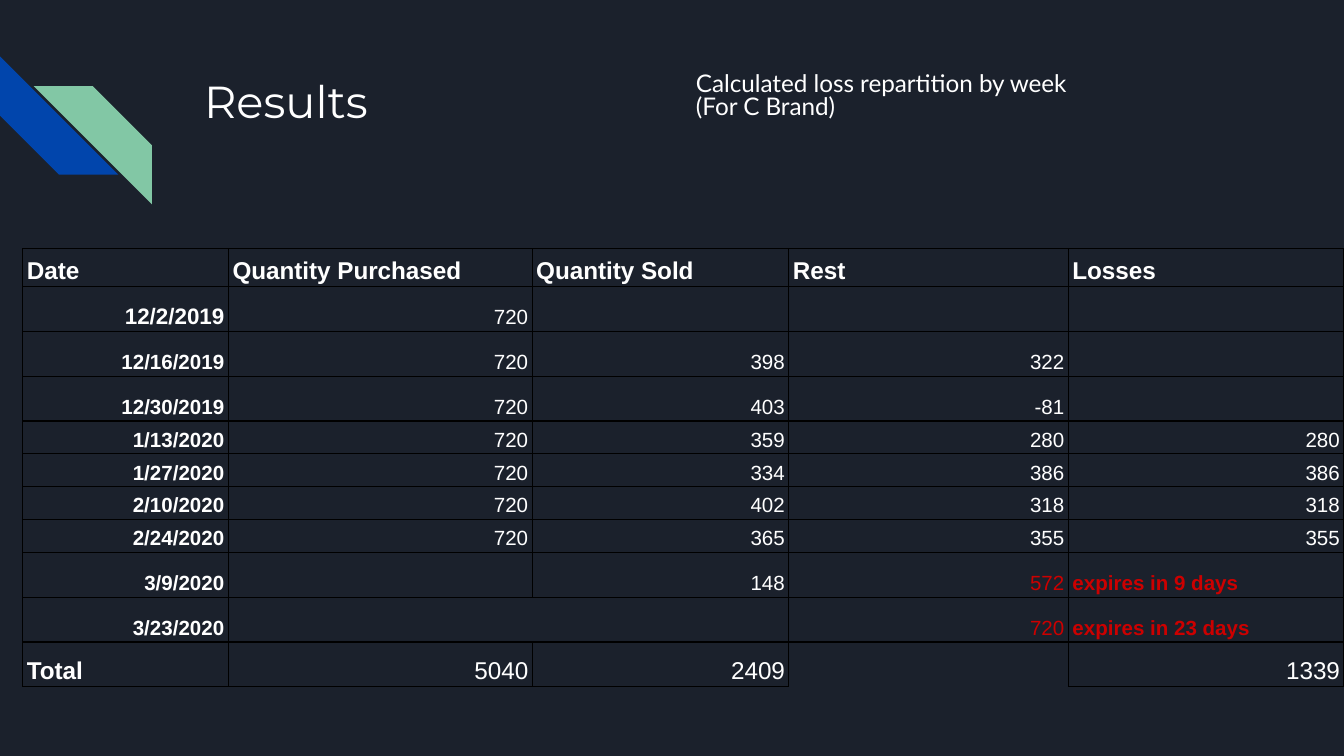
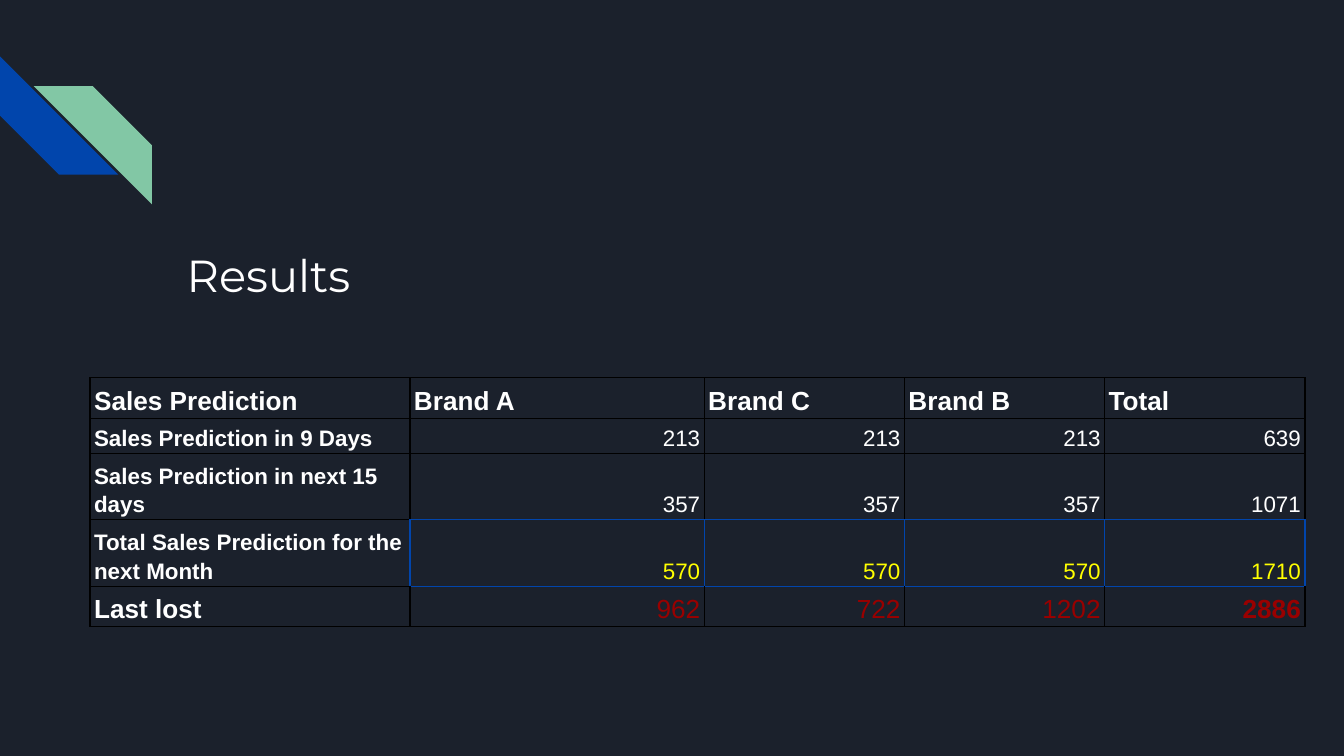
from lxml.etree import SubElement
from pptx import Presentation
from pptx.dml.color import RGBColor
from pptx.enum.shapes import MSO_SHAPE as Preset
from pptx.enum.text import MSO_ANCHOR as Anchor, PP_ALIGN as Align
from pptx.oxml.ns import qn
from pptx.util import Inches, Pt

NIGHT, BLUE, GREEN = "1B212C", "0145AC", "82C7A5"
WHITE, BLACK, YELLOW = "FFFFFF", "000000", "FFFF00"
RED, DARK_RED = "CC0000", "990000"
BORDER_WIDTH = Pt(0.75)
CELL_INSET = Inches(0.1) // 6
GRID_SIDE = Inches(3.28)
NEIGHBOURS = {"L": (0, -1, "R"), "R": (0, 1, "L"), "T": (-1, 0, "B"), "B": (1, 0, "T")}

LOSSES = [
    ["Date", "Quantity Purchased", "Quantity Sold", "Rest", "Losses"],
    ["12/2/2019", "720", "", "", ""],
    ["12/16/2019", "720", "398", "322", ""],
    ["12/30/2019", "720", "403", "-81", ""],
    ["1/13/2020", "720", "359", "280", "280"],
    ["1/27/2020", "720", "334", "386", "386"],
    ["2/10/2020", "720", "402", "318", "318"],
    ["2/24/2020", "720", "365", "355", "355"],
    ["3/9/2020", "", "148", "572", "expires in 9 days"],
    ["3/23/2020", "", "", "720", "expires in 23 days"],
    ["Total", "5040", "2409", "", "1339"],
]
PREDICTIONS = [
    ["Sales Prediction", "Brand A", "Brand C", "Brand B", "Total"],
    ["Sales Prediction in 9 Days", "213", "213", "213", "639"],
    ["Sales Prediction in next 15 days", "357", "357", "357", "1071"],
    ["Total Sales Prediction for the next Month", "570", "570", "570", "1710"],
    ["Last lost", "962", "722", "1202", "2886"],
]


def rgb(code):
    """Turn a hex string into a colour."""
    return RGBColor.from_string(code)


def add_run(paragraph, text, font, size, color=WHITE, bold=False):
    """Append one formatted run to a paragraph."""
    run = paragraph.add_run()
    run.text = text
    run.font.name, run.font.size, run.font.bold = font, Pt(size), bold
    run.font.color.rgb = rgb(color)


def add_text(slide, box, lines, font, size, spacing=1.0):
    """Add a wrapped text box with one paragraph per line."""
    frame = slide.shapes.add_textbox(*map(Inches, box)).text_frame
    frame.word_wrap = True
    frame.margin_left = frame.margin_right = Inches(0.1)
    frame.margin_top = frame.margin_bottom = Inches(0.1)
    for index, line in enumerate(lines):
        paragraph = frame.add_paragraph() if index else frame.paragraphs[0]
        paragraph.line_spacing = spacing
        add_run(paragraph, line, font, size)


def add_stripe(group, left, top, color):
    """Add one diagonal stripe of the corner ornament."""
    side = Inches(0.88)
    stripe = group.shapes.add_shape(Preset.DIAGONAL_STRIPE, Inches(left), Inches(top), side, side)
    stripe.adjustments[0] = 0.5
    stripe.shadow.inherit = False
    stripe.fill.solid()
    stripe.fill.fore_color.rgb = rgb(color)
    stripe.line.fill.background()
    return stripe


def add_results_slide(deck, title_box):
    """Add a dark slide with the corner ornament and its title."""
    slide = deck.slides.add_slide(deck.slide_layouts[6])
    slide.background.fill.solid()
    slide.background.fill.fore_color.rgb = rgb(NIGHT)
    ornament = slide.shapes.add_group_shape()
    add_stripe(ornament, 0, 0.42, BLUE).rotation = 270
    green = add_stripe(ornament, 0.25, 0.64, GREEN)
    green._element.spPr.find(qn("a:xfrm")).set("flipH", "1")
    add_text(slide, title_box, ["Results"], "Montserrat", 24)
    return slide


def paint_edges(edges, row, col, sides, color):
    """Set sides of a cell, and the same edges of its neighbours."""
    for side in sides:
        down, across, opposite = NEIGHBOURS[side]
        edges[row, col, side] = color
        edges[row + down, col + across, opposite] = color


def draw_border(cell, side, color):
    """Write one border of a cell, or an invisible one without a colour."""
    line = SubElement(cell._tc.get_or_add_tcPr(), qn(f"a:ln{side}"), w=str(BORDER_WIDTH))
    if color:
        fill = SubElement(line, qn("a:solidFill"))
        SubElement(fill, qn("a:srgbClr"), val=color)
    else:
        SubElement(line, qn("a:noFill"))


def fill_cell(cell, text, size, color, bold):
    """Write a cell's text, with numbers and dates set to the right."""
    cell.margin_left = cell.margin_right = Inches(0.03)
    cell.margin_top = cell.margin_bottom = CELL_INSET
    cell.vertical_anchor = Anchor.BOTTOM
    if text:
        paragraph = cell.text_frame.paragraphs[0]
        paragraph.line_spacing = 1.15
        paragraph.alignment = Align.RIGHT if text[-1].isdigit() else Align.LEFT
        add_run(paragraph, text, "Arial", size, color, bold)


def add_grid(slide, left, top, widths, heights, rows, sizes, colors, bolds, edges):
    """Add a bordered table whose rows grow to fit their text."""
    frame = slide.shapes.add_table(
        len(rows), len(widths), Inches(left), Inches(top), GRID_SIDE, GRID_SIDE)
    table = frame.table
    table.horz_banding = table.first_row = False
    for column, width in zip(table.columns, widths):
        column.width = Inches(width)
    for r, texts in enumerate(rows):
        table.rows[r].height = Inches(heights[r])
        for c, text in enumerate(texts):
            cell = table.cell(r, c)
            size = sizes.get((r, c), sizes.get(r, sizes["body"]))
            bold = r == 0 or c == 0 or (r, c) in bolds
            fill_cell(cell, text, size, colors.get((r, c), WHITE), bold)
            for side in NEIGHBOURS:
                draw_border(cell, side, edges.get((r, c, side), BLACK))
            cell.fill.background()
    frame.width = frame.height = GRID_SIDE


def build_losses(deck):
    """Build the weekly loss slide."""
    slide = add_results_slide(deck, (1.42, 0.45, 3.32, 1.11))
    subtitle = ["Calculated loss repartition by week", "(For C Brand)"]
    add_text(slide, (5.08, 0.45, 3.32, 0.55), subtitle, "Lato", 13, 0.8)
    expiring = {(r, c): RED for r in (8, 9) for c in (3, 4)}
    edges = {}
    paint_edges(edges, 9, 1, "R", None)
    paint_edges(edges, 10, 3, "B", None)
    add_grid(
        slide, 0.17, 1.85, [1.53, 2.26, 1.91, 2.08, 2.05],
        [0.09] + [0.11] * 3 + [0.09] * 4 + [0.11] * 3, LOSSES,
        {"body": 11, 0: 13, 10: 13, (1, 0): 12}, expiring, {(8, 4), (9, 4)}, edges)


def build_predictions(deck):
    """Build the sales prediction slide."""
    slide = add_results_slide(deck, (1.29, 1.74, 3.32, 0.65))
    colors, edges = {}, {}
    for c in range(1, 5):
        colors[3, c], colors[4, c] = YELLOW, DARK_RED
        paint_edges(edges, 3, c, "LRTB", BLUE)
    add_grid(
        slide, 0.67, 2.81, [2.38, 2.19, 1.49, 1.49, 1.49],
        [0.22] * 5, PREDICTIONS,
        {"body": 12, 0: 14, 4: 14}, colors, {(4, 4)}, edges)


def main():
    """Build and save the deck."""
    deck = Presentation()
    deck.slide_width = Inches(10)
    deck.slide_height = deck.slide_width * 9 // 16
    build_losses(deck)
    build_predictions(deck)
    deck.save("out.pptx")


if __name__ == "__main__":
    main()
